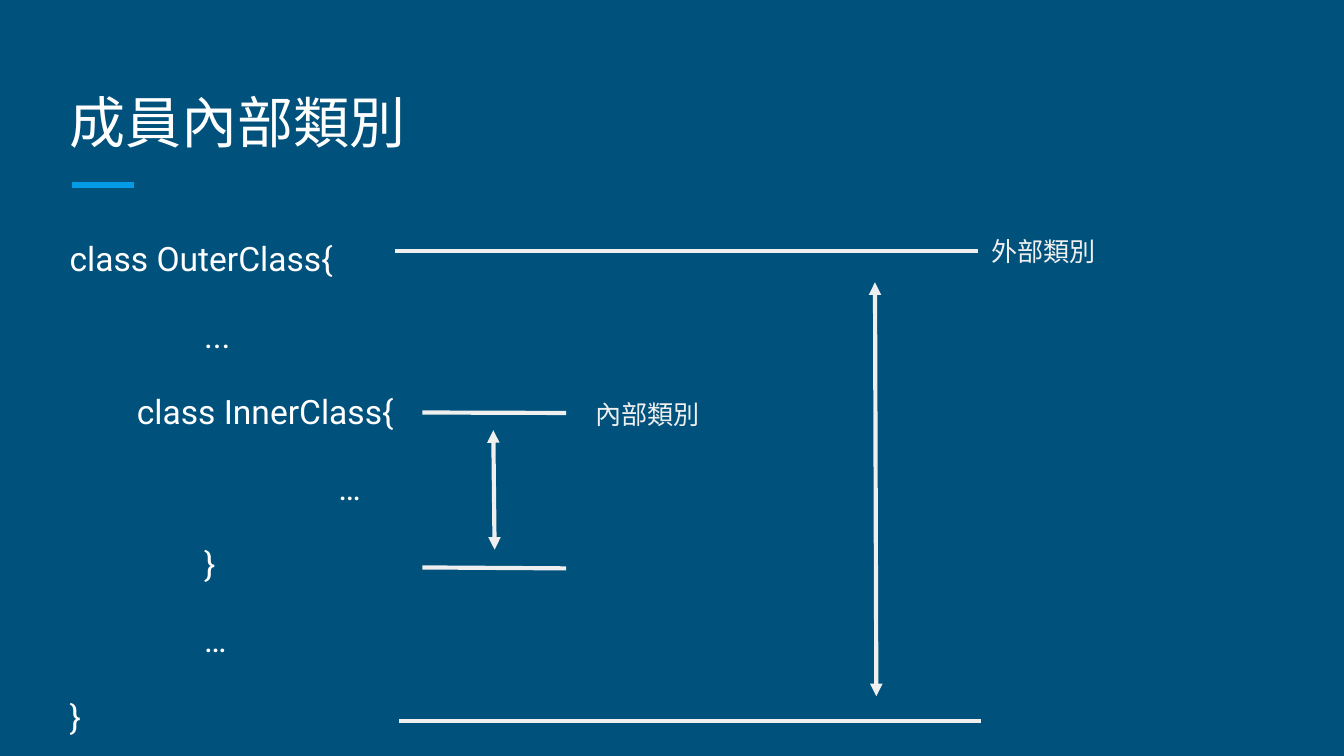
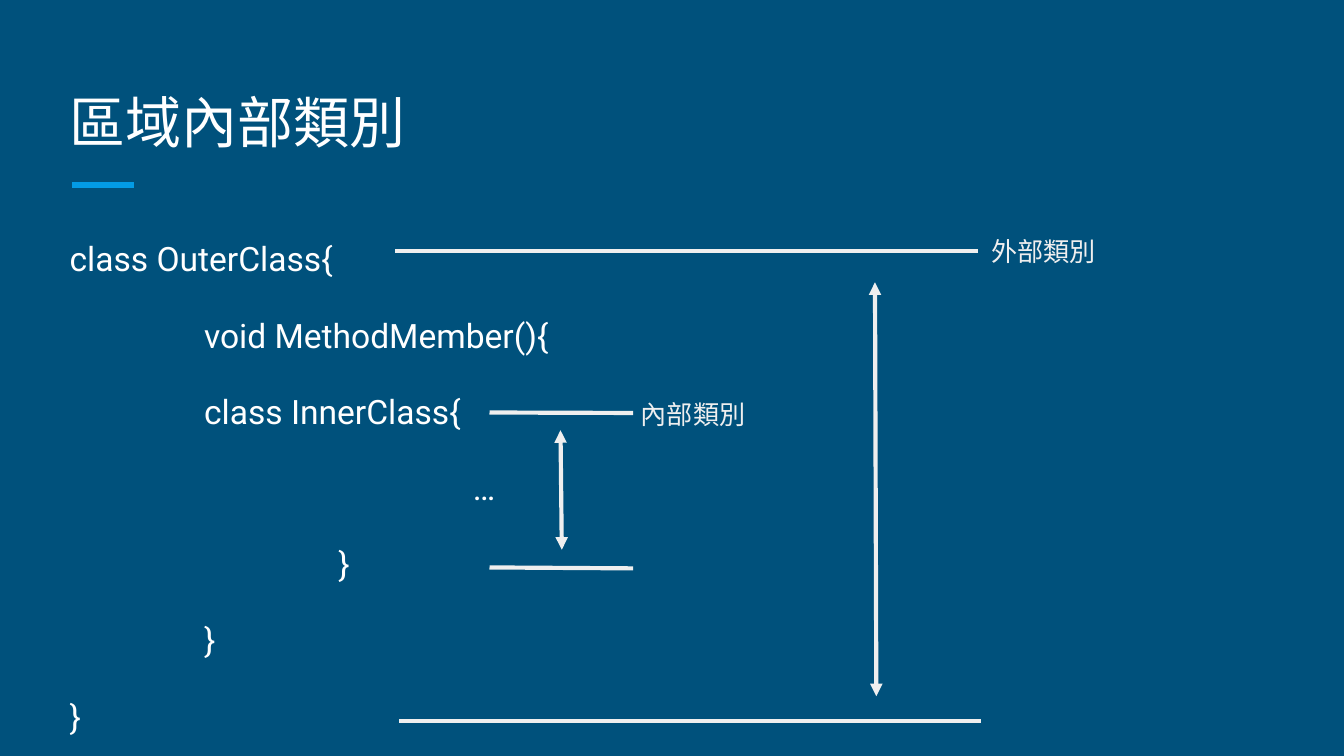
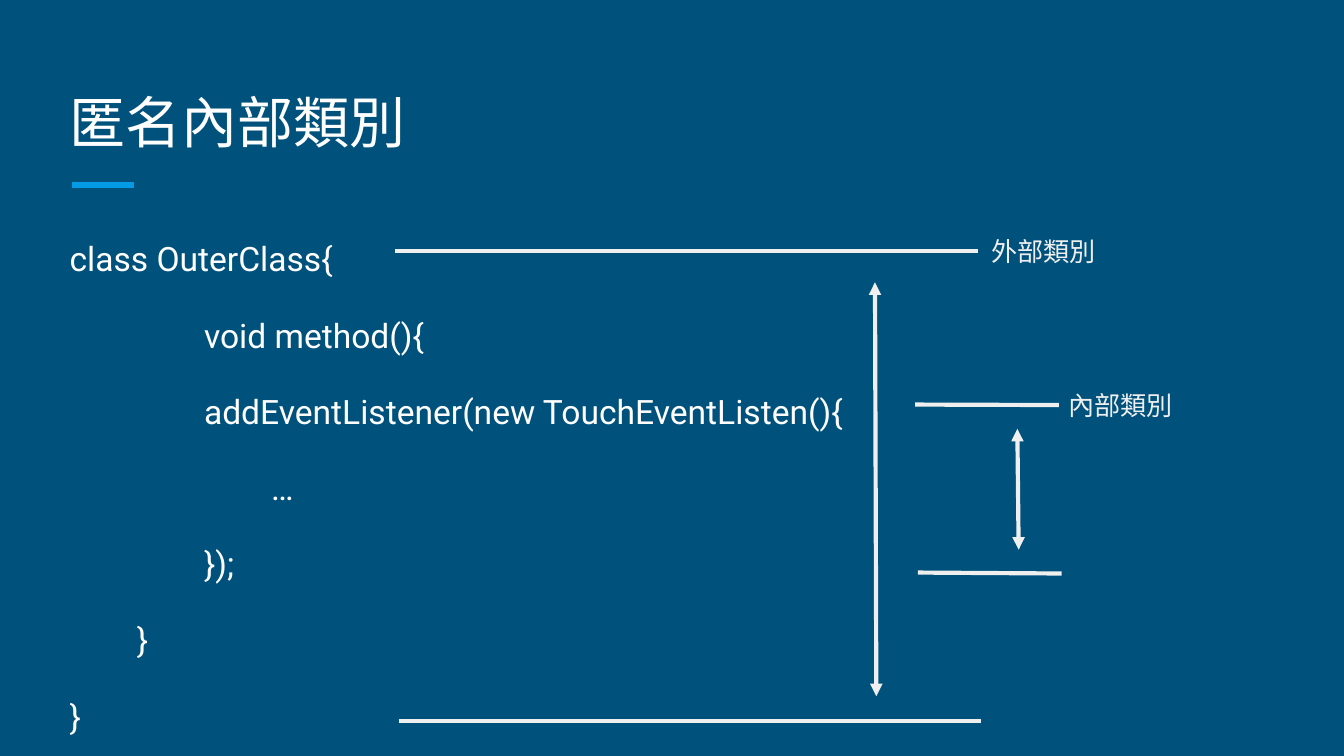
from dataclasses import dataclass
from typing import NamedTuple

from lxml.etree import SubElement
from pptx import Presentation
from pptx.dml.color import RGBColor as RGB
from pptx.enum.shapes import MSO_CONNECTOR as Conn
from pptx.enum.text import MSO_ANCHOR as Anchor, MSO_AUTO_SIZE as Fit
from pptx.oxml.ns import qn
from pptx.util import Pt


class Style(NamedTuple):
    font: str
    size: float
    color: RGB


@dataclass(frozen=True)
class Theme:
    back: RGB = RGB.from_string("00517C")
    accent: RGB = RGB.from_string("039BE5")
    mark: RGB = RGB.from_string("EFEFEF")
    title: Style = Style("Roboto Slab", 30, RGB.from_string("FFFFFF"))
    code: Style = Style("Roboto", 18, RGB.from_string("FFFFFF"))
    label: Style = Style("Arial", 14, RGB.from_string("EFEFEF"))
    rule: float = 3
    stroke: float = 2.25
    inset: float = 7.2
    step: float = 36
    gap: float = 16
    lead: float = 1.15


class Box(NamedTuple):
    left: float
    top: float
    width: float
    height: float


class Line(NamedTuple):
    x1: float
    y1: float
    x2: float
    y2: float


class Code(NamedTuple):
    level: int
    text: str


class Scope(NamedTuple):
    name: str
    tag: Box
    head: Line
    foot: Line
    span: Line
    joined: bool = False


class Page(NamedTuple):
    title: str
    code: list[Code]
    inner: Scope


THEME = Theme()
TITLE = Box(30.25, 36, 659, 54)
BODY = Box(30.25, 117.25, 659, 242.75)
ACCENT = Line(38.75, 99, 72, 99)
TAG_W, TAG_H = 75, 31

OUTER = Scope(
    "外部類別",
    Box(524, 119, TAG_W, TAG_H),
    Line(524, 134.5, 211.5, 134.5),
    Line(525.5, 386.5, 214, 386.5),
    Line(468.75, 151.25, 469.5, 373),
    joined=True,
)


def nest(shift: float, tag: float) -> Scope:
    return Scope(
        "內部類別",
        Box(tag, 206, TAG_W, TAG_H),
        Line(303.25 + shift, 221.25, 226.25 + shift, 221),
        Line(303.25 + shift, 304.5, 226.25 + shift, 304),
        Line(264.25 + shift, 230.5, 265 + shift, 294.5),
    )


PAGES = [
    Page(
        "成員內部類別",
        [
            Code(0, "class OuterClass{"),
            Code(2, "..."),
            Code(1, "class InnerClass{"),
            Code(4, "…"),
            Code(2, "}"),
            Code(2, "…"),
            Code(0, "}"),
        ],
        nest(0, 311.75),
    ),
    Page(
        "區域內部類別",
        [
            Code(0, "class OuterClass{"),
            Code(2, "void MethodMember(){"),
            Code(2, "class InnerClass{"),
            Code(6, "…"),
            Code(4, "}"),
            Code(2, "}"),
            Code(0, "}"),
        ],
        nest(36, 336.25),
    ),
    Page(
        "匿名內部類別",
        [
            Code(0, "class OuterClass{"),
            Code(2, "void method(){"),
            Code(2, "addEventListener(new TouchEventListen(){"),
            Code(3, "…"),
            Code(2, "});"),
            Code(1, "}"),
            Code(0, "}"),
        ],
        Scope(
            "內部類別",
            Box(565.25, 201.5, TAG_W, TAG_H),
            Line(567.25, 217, 490.25, 216.75),
            Line(568.75, 307.25, 491.75, 306.75),
            Line(545, 229.75, 545.75, 294.5),
        ),
    ),
]


def add_run(para, text: str, style: Style) -> None:
    run = para.add_run()
    run.text = text
    run.font.name = style.font
    run.font.size = Pt(style.size)
    run.font.color.rgb = style.color
    SubElement(run.font._element, qn("a:ea"), typeface=style.font)


def add_box(slide, box: Box, anchor=Anchor.TOP):
    shape = slide.shapes.add_textbox(*map(Pt, box))
    frame = shape.text_frame
    frame.word_wrap = True
    frame.auto_size = Fit.NONE
    frame.vertical_anchor = anchor
    frame.margin_left = frame.margin_right = Pt(THEME.inset)
    frame.margin_top = frame.margin_bottom = Pt(THEME.inset)
    return shape


def add_text(slide, box: Box, text: str, style: Style, anchor=Anchor.TOP):
    shape = add_box(slide, box, anchor)
    add_run(shape.text_frame.paragraphs[0], text, style)
    return shape


def add_line(slide, line: Line, color: RGB, width: float, arrows: bool = False):
    link = slide.shapes.add_connector(Conn.STRAIGHT, *map(Pt, line))
    link.line.color.rgb = color
    link.line.width = Pt(width)
    if arrows:
        for end in ("a:headEnd", "a:tailEnd"):
            SubElement(link.line._get_or_add_ln(), qn(end), type="triangle")
    SubElement(link._element.spPr, qn("a:effectLst"))
    return link


def add_code(slide, code: list[Code]) -> None:
    frame = add_box(slide, BODY).text_frame
    for row, item in enumerate(code):
        para = frame.add_paragraph() if row else frame.paragraphs[0]
        para.line_spacing = THEME.lead
        para.space_before = Pt(THEME.gap if row else 0)
        props = para._p.get_or_add_pPr()
        props.set("marL", str(Pt(item.level * THEME.step)))
        props.set("indent", "0")
        add_run(para, item.text, THEME.code)


def add_scope(slide, scope: Scope) -> None:
    tag = add_text(slide, scope.tag, scope.name, THEME.label)
    head = add_line(slide, scope.head, THEME.mark, THEME.stroke)
    if scope.joined:
        head.begin_connect(tag, 1)
    add_line(slide, scope.foot, THEME.mark, THEME.stroke)
    add_line(slide, scope.span, THEME.mark, THEME.stroke, arrows=True)


def add_page(deck, page: Page) -> None:
    slide = deck.slides.add_slide(deck.slide_layouts[6])
    fill = slide.background.fill
    fill.solid()
    fill.fore_color.rgb = THEME.back
    add_line(slide, ACCENT, THEME.accent, THEME.rule)
    add_text(slide, TITLE, page.title, THEME.title, Anchor.BOTTOM)
    add_code(slide, page.code)
    for scope in (OUTER, page.inner):
        add_scope(slide, scope)


def main() -> None:
    deck = Presentation()
    deck.slide_width, deck.slide_height = Pt(720), Pt(405)
    for page in PAGES:
        add_page(deck, page)
    deck.save("out.pptx")


if __name__ == "__main__":
    main()
